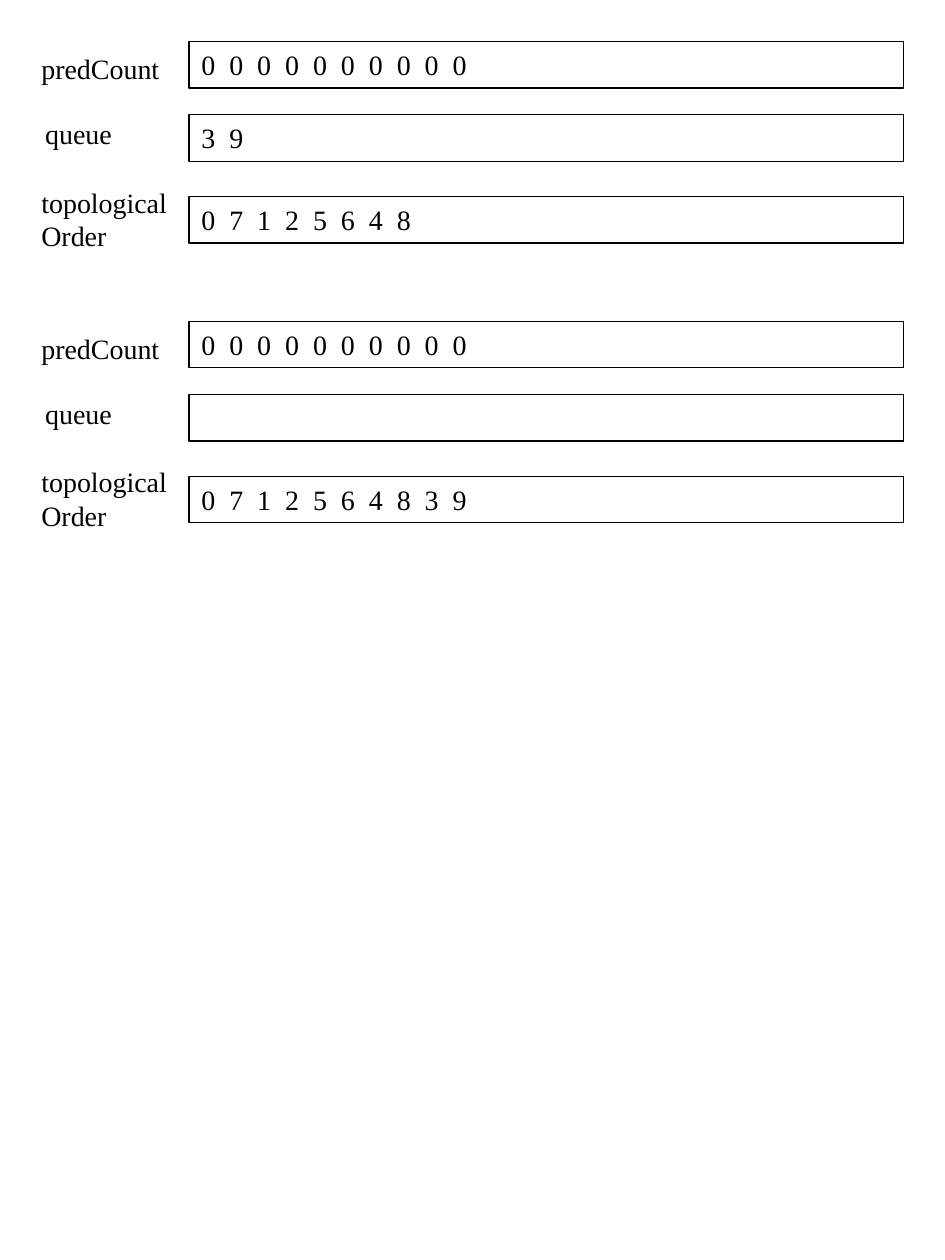
from pptx import Presentation
from pptx.dml.color import RGBColor
from pptx.enum.shapes import MSO_SHAPE
from pptx.enum.text import MSO_ANCHOR, MSO_AUTO_SIZE, PP_ALIGN
from pptx.util import Inches, Pt

COLORS = {"ink": "000000"}
ROW_HEIGHT = 0.37


class TraceSlide:
    font = "Times New Roman"
    size = Pt(16)
    ink = RGBColor.from_string(COLORS["ink"])

    def __init__(self, slide):
        self.slide = slide

    def set_text(self, shape, text):
        frame = shape.text_frame
        frame.word_wrap = True
        frame.auto_size = MSO_AUTO_SIZE.SHAPE_TO_FIT_TEXT
        frame.vertical_anchor = MSO_ANCHOR.TOP
        paragraph = frame.paragraphs[0]
        paragraph.alignment = PP_ALIGN.LEFT
        run = paragraph.add_run()
        run.text = text
        run.font.name = self.font
        run.font.size = self.size
        run.font.color.rgb = self.ink

    def label(self, text, left, top, width, height):
        box = self.slide.shapes.add_textbox(
            Inches(left), Inches(top), Inches(width), Inches(height))
        self.set_text(box, text)

    def array(self, values, top):
        box = self.slide.shapes.add_shape(
            MSO_SHAPE.RECTANGLE,
            Inches(1.5), Inches(top), Inches(5.67), Inches(ROW_HEIGHT))
        box.shadow.inherit = False
        box.fill.background()
        box.line.color.rgb = self.ink
        box.line.width = Pt(0.75)
        if values:
            self.set_text(box, "  ".join(values))


prs = Presentation()
prs.slide_width, prs.slide_height = Inches(7.5), Inches(10)
page = TraceSlide(prs.slides.add_slide(prs.slide_layouts[6]))

# Rows of one step: name, label left, label offset, label width and height, box offset
ROWS = [
    ("predCount", 0.23, 0.03, 1.25, ROW_HEIGHT, 0),
    ("queue", 0.26, 0.55, 0.83, ROW_HEIGHT, 0.58),
    ("topologicalOrder", 0.23, 1.09, 1.25, 0.64, 1.23),
]

# Last two steps of the sort: top, then the digits held in each row
STEPS = [
    (0.33, ("0" * 10, "39", "07125648")),
    (2.55, ("0" * 10, "", "0712564839")),
]

for top, contents in STEPS:
    for (name, left, label_dy, width, height, box_dy), values in zip(ROWS, contents):
        page.label(name, left, top + label_dy, width, height)
        page.array(values, top + box_dy)

prs.save("out.pptx")
